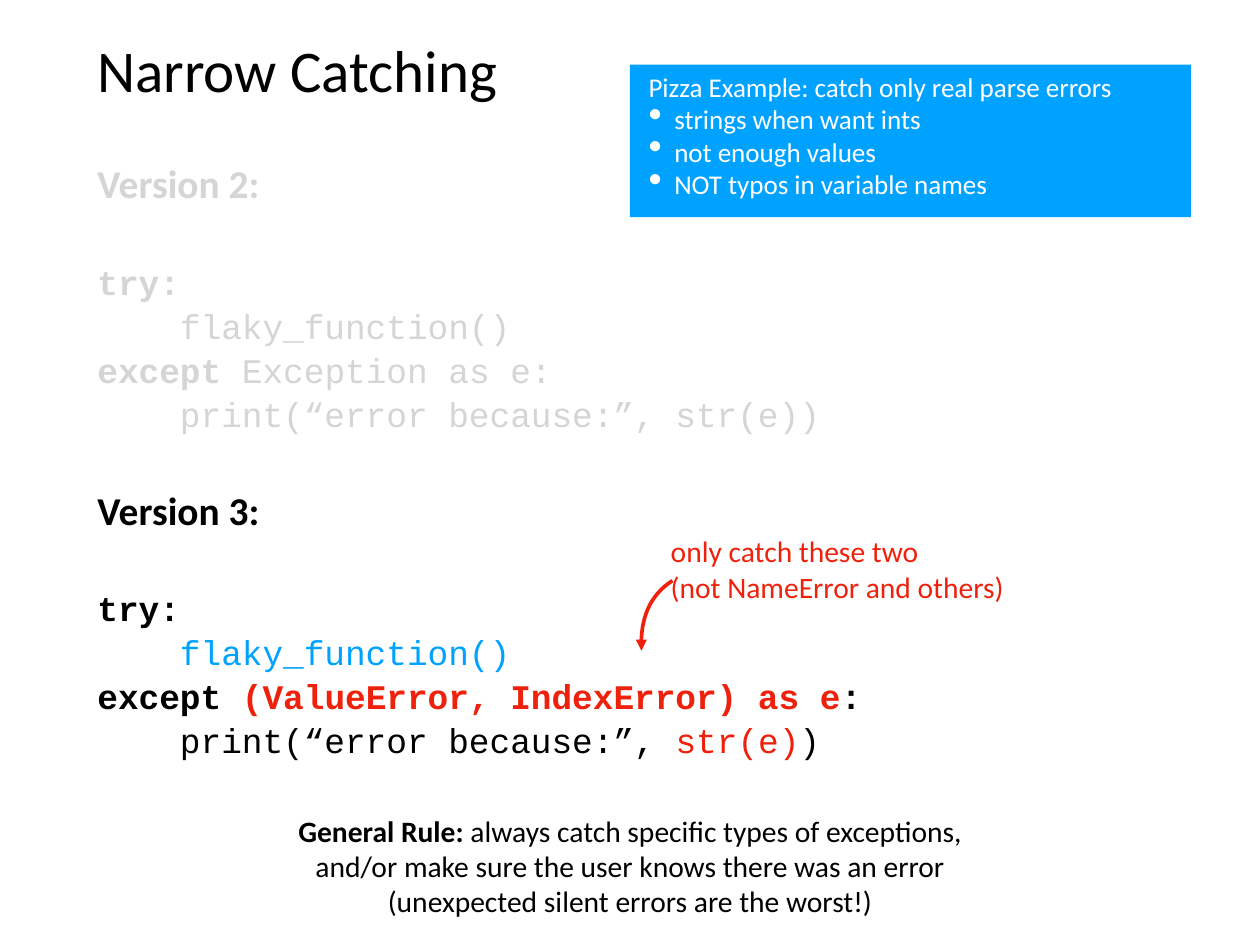
from lxml import etree
from pptx import Presentation
from pptx.dml.color import RGBColor
from pptx.enum.shapes import MSO_SHAPE
from pptx.enum.text import MSO_ANCHOR, PP_ALIGN
from pptx.oxml.ns import qn
from pptx.util import Inches, Pt

BLACK = RGBColor(0x00, 0x00, 0x00)
WHITE = RGBColor(0xFF, 0xFF, 0xFF)
GRAY = RGBColor(0xD6, 0xD5, 0xD5)
BLUE = RGBColor(0x00, 0xA2, 0xFF)
RED = RGBColor(0xEE, 0x22, 0x0C)
LEFT, CENTER = PP_ALIGN.LEFT, PP_ALIGN.CENTER
TOP, MIDDLE = MSO_ANCHOR.TOP, MSO_ANCHOR.MIDDLE
RECTANGLE = MSO_SHAPE.RECTANGLE
SANS, MONO = "Calibri", "Courier New"

# Every paragraph is a list of spans: (text, bold, colour).
TITLE = [[("Narrow Catching", False, BLACK)]]
VERSIONS = [
    ([("Version 2:", True, GRAY)],
     [("try:\n", True, GRAY),
      ("    flaky_function()\n", False, GRAY),
      ("except ", True, GRAY),
      ("Exception as e:\n    print(“error because:”, str(e))", False, GRAY)]),
    ([("Version 3:", True, BLACK)],
     [("try:\n", True, BLACK),
      ("    flaky_function()\n", False, BLUE),
      ("except ", True, BLACK),
      ("(ValueError, IndexError) as e", True, RED),
      (":\n", True, BLACK),
      ("    print(“error because:”, ", False, BLACK),
      ("str(e)", False, RED),
      (")", False, BLACK)]),
]
CATCH_NOTE = [
    [("only catch these two", False, RED)],
    [("(not NameError and others)", False, RED)],
]
PIZZA = [
    [("Pizza Example: catch only real parse errors", False, WHITE)],
    [("strings when want ints", False, WHITE)],
    [("not enough values", False, WHITE)],
    [("NOT typos in variable names", False, WHITE)],
]
RULE = [
    [("General Rule: ", True, BLACK),
     ("always catch specific types of exceptions,", False, BLACK)],
    [("and/or make sure the user knows there was an error", False, BLACK)],
    [("(unexpected silent errors are the worst!)", False, BLACK)],
]
ARROW_CURVE = [(7.59, 6.55), (7.34, 6.71), (7.22, 6.97), (7.24, 7.34)]
ARROW_STEPS = 16


def set_frame(box, anchor):
    frame = box.text_frame
    frame.word_wrap = True
    frame.vertical_anchor = anchor
    frame.margin_left = frame.margin_right = Inches(0.06)
    frame.margin_top = frame.margin_bottom = Inches(0.06)
    return frame


def next_paragraph(frame, is_first):
    return frame.paragraphs[0] if is_first else frame.add_paragraph()


def fill_paragraph(para, spans, size, font=SANS, align=LEFT):
    para.alignment = align
    para.font.size = Pt(size)
    para.font.name = font
    for text, bold, color in spans:
        for number, line in enumerate(text.split("\n")):
            if number:
                para.add_line_break()
            if line:
                span = para.add_run()
                span.text = line
                span.font.size = Pt(size)
                span.font.name = font
                span.font.bold = bold
                span.font.color.rgb = color


def add_text(page, place, paragraphs, size, align=LEFT):
    box = page.shapes.add_textbox(*map(Inches, place))
    frame = set_frame(box, MIDDLE)
    for number, spans in enumerate(paragraphs):
        fill_paragraph(next_paragraph(frame, number == 0), spans, size, align=align)


def add_versions(page):
    box = page.shapes.add_textbox(*map(Inches, (1.04, 1.74, 12.7, 8.45)))
    frame = set_frame(box, TOP)
    for number, (heading, code) in enumerate(VERSIONS):
        para = next_paragraph(frame, number == 0)
        if number:
            para.space_before = Pt(42)
        fill_paragraph(para, heading, 32)
        para = frame.add_paragraph()
        para.space_before = Pt(42)
        para.line_spacing = 1.06
        fill_paragraph(para, code, 28, MONO)


def add_bullet(para):
    properties = para._p.get_or_add_pPr()
    color = etree.SubElement(properties, qn("a:buClr"))
    etree.SubElement(color, qn("a:srgbClr"), val=str(WHITE))
    etree.SubElement(properties, qn("a:buSzPct"), val="145000")
    etree.SubElement(properties, qn("a:buChar"), char="•")


def add_pizza(page):
    box = page.shapes.add_shape(RECTANGLE, *map(Inches, (7.11, 0.73, 6.33, 1.72)))
    box.shadow.inherit = False
    box.fill.solid()
    box.fill.fore_color.rgb = BLUE
    box.line.fill.background()
    frame = set_frame(box, TOP)
    for number, spans in enumerate(PIZZA):
        para = next_paragraph(frame, number == 0)
        properties = para._p.get_or_add_pPr()
        properties.set("marL", str(Inches(0.44)))
        properties.set("indent", str(Inches(-0.29)))
        if number:
            add_bullet(para)
        fill_paragraph(para, spans, 22)


def curve_point(step):
    """Point on the cubic Bezier curve after the given number of steps."""
    t = step / ARROW_STEPS
    weights = ((1 - t) ** 3, 3 * t * (1 - t) ** 2, 3 * t ** 2 * (1 - t), t ** 3)
    return tuple(Inches(sum(weight * point[axis]
                            for weight, point in zip(weights, ARROW_CURVE)))
                 for axis in (0, 1))


def add_arrow(page):
    points = [curve_point(step) for step in range(ARROW_STEPS + 1)]
    builder = page.shapes.build_freeform(*points[0])
    builder.add_line_segments(points[1:], close=False)
    arrow = builder.convert_to_shape()
    arrow.shadow.inherit = False
    arrow.fill.background()
    arrow.line.color.rgb = RED
    arrow.line.width = Pt(3)
    etree.SubElement(arrow.line._get_or_add_ln(), qn("a:tailEnd"), type="triangle")


def main():
    deck = Presentation()
    deck.slide_width, deck.slide_height = Inches(14.22), Inches(10.66)
    page = deck.slides.add_slide(deck.slide_layouts[6])
    add_text(page, (1.04, 0.28, 12.14, 0.99), TITLE, 48)
    add_versions(page)
    add_arrow(page)
    add_text(page, (7.51, 5.96, 4.45, 0.91), CATCH_NOTE, 24)
    add_pizza(page)
    add_text(page, (2.69, 9.11, 8.84, 1.31), RULE, 24, CENTER)
    deck.save("out.pptx")


if __name__ == "__main__":
    main()
